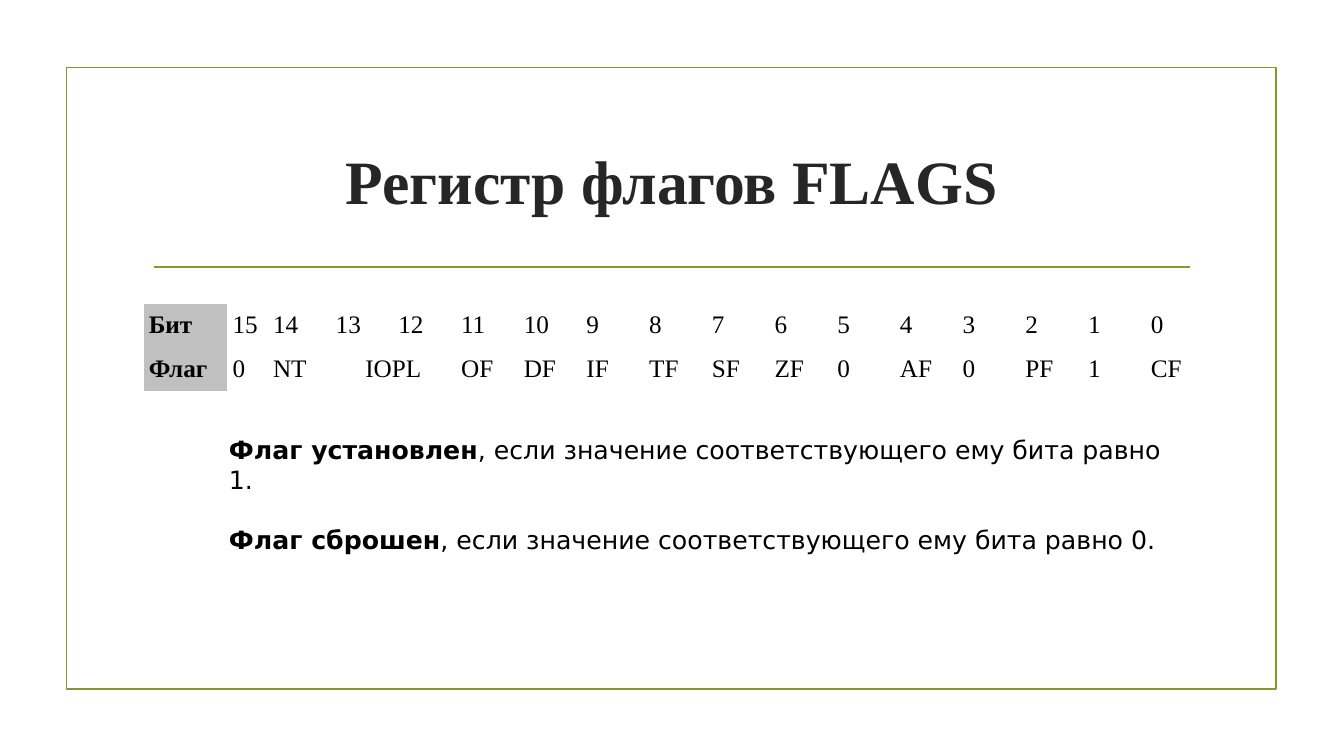
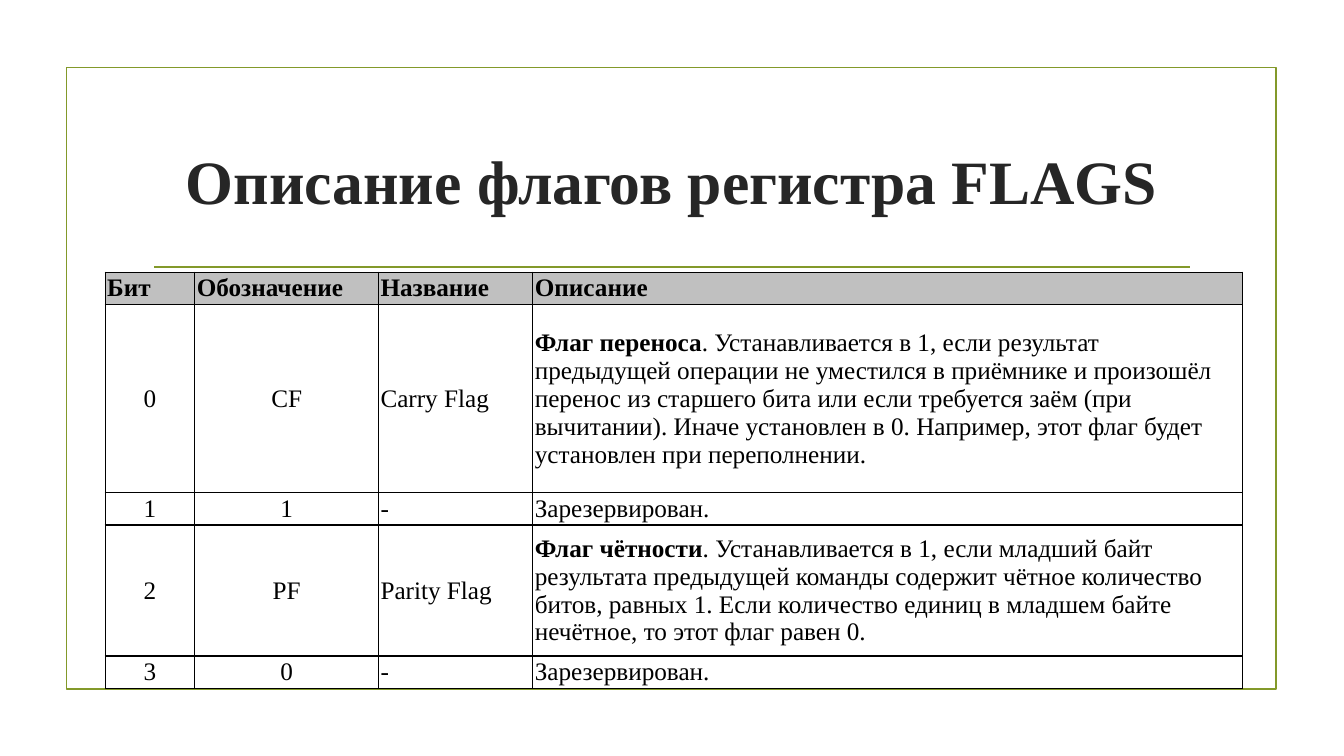
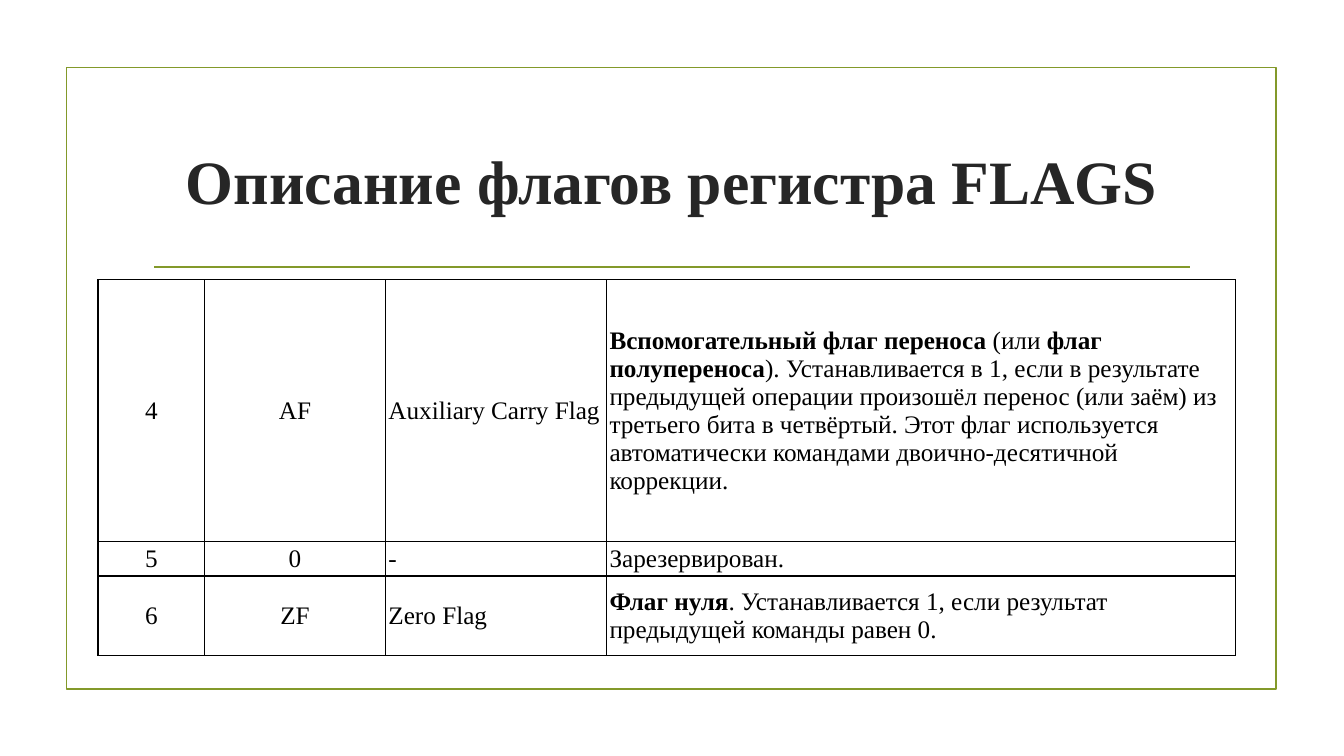
from lxml.etree import SubElement
from pptx import Presentation
from pptx.dml.color import RGBColor
from pptx.enum.shapes import MSO_CONNECTOR, MSO_SHAPE
from pptx.enum.text import MSO_ANCHOR, MSO_AUTO_SIZE, PP_ALIGN
from pptx.oxml.ns import qn
from pptx.util import Cm, Pt

OLIVE = RGBColor(0x83, 0x99, 0x2A)
INK = RGBColor(0x26, 0x26, 0x26)
BLACK = RGBColor(0, 0, 0)
WHITE = RGBColor(0xFF, 0xFF, 0xFF)
GREY = RGBColor(0xC0, 0xC0, 0xC0)

SERIF = "Times New Roman"
SANS = "DejaVu Sans"
PLAIN_TABLE_STYLE = "{2D5ABB26-0587-4C30-8999-92F81FD0307C}"


def write(p, text, font, size=18, color=BLACK, bold=False):
    """Fill a paragraph; parts between ** marks are bold."""
    for i, part in enumerate(text.split("**")):
        if part:
            r = p.add_run()
            r.text = part
            r.font.name, r.font.size = font, Pt(size)
            r.font.bold = bold or i % 2 == 1
            r.font.color.rgb = color


def add_borders(cell):
    tcPr = cell._tc.get_or_add_tcPr()
    for side in ("a:lnL", "a:lnR", "a:lnT", "a:lnB"):
        ln = SubElement(tcPr, qn(side), w=str(Pt(1)))
        fill = SubElement(ln, qn("a:solidFill"))
        SubElement(fill, qn("a:srgbClr"), val=str(BLACK))


class Deck:
    def __init__(self):
        self.prs = Presentation()
        self.prs.slide_width, self.prs.slide_height = Cm(33.87), Cm(19.05)
        self.slide = None

    def new_slide(self, title):
        self.slide = self.prs.slides.add_slide(self.prs.slide_layouts[5])
        self.frame()
        self.rule()
        self.title(title)

    def frame(self):
        sp = self.slide.shapes.add_shape(
            MSO_SHAPE.RECTANGLE, Cm(1.68), Cm(1.7), Cm(30.48), Cm(15.67))
        sp.shadow.inherit = False
        sp.fill.background()
        sp.line.color.rgb, sp.line.width = OLIVE, Pt(1.25)

    def rule(self):
        line = self.slide.shapes.add_connector(
            MSO_CONNECTOR.STRAIGHT, Cm(3.89), Cm(6.73), Cm(30), Cm(6.73))
        line.line.color.rgb, line.line.width = OLIVE, Pt(1.25)
        SubElement(line._element.spPr, qn("a:effectLst"))

    def title(self, text):
        sp = self.slide.shapes.title
        sp.left, sp.top, sp.width, sp.height = Cm(3.6), Cm(2.72), Cm(26.67), Cm(3.63)
        tf = sp.text_frame
        tf.auto_size, tf.vertical_anchor = MSO_AUTO_SIZE.NONE, MSO_ANCHOR.MIDDLE
        p = tf.paragraphs[0]
        p.alignment = PP_ALIGN.CENTER
        write(p, text, SERIF, 44, INK, bold=True)

    def text(self, left, top, width, height, paragraphs, gap):
        tf = self.slide.shapes.add_textbox(
            Cm(left), Cm(top), Cm(width), Cm(height)).text_frame
        tf.word_wrap = True
        for i, text in enumerate(paragraphs):
            p = tf.add_paragraph() if i else tf.paragraphs[0]
            p.space_before = Pt(gap if i else 0)
            write(p, text, SANS)

    def table(self, left, top, widths, heights, rows, inset,
              head_rows=0, head_cols=0, centred_cols=0, borders=True):
        """Draw a table; head cells are bold on grey, leading body columns centred."""
        table = self.slide.shapes.add_table(
            len(rows), len(widths), Cm(left), Cm(top),
            Cm(sum(widths)), Cm(sum(heights))).table
        table.first_row = table.horz_banding = False
        table._tbl.tblPr.find(qn("a:tableStyleId")).text = PLAIN_TABLE_STYLE
        for column, width in zip(table.columns, widths):
            column.width = Cm(width)
        for row, height in zip(table.rows, heights):
            row.height = Cm(height)
        for i, texts in enumerate(rows):
            for j, text in enumerate(texts):
                cell = table.cell(i, j)
                head = i < head_rows or j < head_cols
                if borders:
                    add_borders(cell)
                cell.fill.solid()
                cell.fill.fore_color.rgb = GREY if head else WHITE
                cell.margin_left = cell.margin_right = Cm(inset)
                cell.margin_top = cell.margin_bottom = Cm(inset)
                cell.vertical_anchor = MSO_ANCHOR.MIDDLE
                p = cell.text_frame.paragraphs[0]
                if j < centred_cols and not head:
                    p.alignment = PP_ALIGN.CENTER
                write(p, text, SERIF, bold=head)
        return table


def flags_register(deck):
    deck.new_slide("Регистр флагов FLAGS")
    bits = ["Бит"] + [str(bit) for bit in range(15, -1, -1)]
    flags = ["Флаг", "0", "NT", "IOPL", "", "OF", "DF", "IF", "TF", "SF", "ZF",
             "0", "AF", "0", "PF", "1", "CF"]
    table = deck.table(3.62, 7.65, [2.11, 1.02] + [1.58] * 15, [1.1, 1.1],
                       [bits, flags], 0.13, head_cols=1, borders=False)
    iopl = table.cell(1, 3)
    iopl.merge(table.cell(1, 4))
    iopl.text_frame.paragraphs[0].alignment = PP_ALIGN.CENTER
    deck.text(5.52, 10.82, 24.77, 2.57, [
        "**Флаг установлен**, если значение соответствующего ему бита равно 1.",
        "**Флаг сброшен**, если значение соответствующего ему бита равно 0.",
    ], gap=21)


def flags_0_to_3(deck):
    deck.new_slide("Описание флагов регистра FLAGS")
    deck.table(2.65, 6.86, [2.26, 4.63, 3.89, 17.88], [0.81, 4.75, 0.81, 3.3, 0.81], [
        ["Бит", "Обозначение", "Название", "Описание"],
        ["0", "CF", "Carry Flag",
         "**Флаг переноса**. Устанавливается в 1, если результат предыдущей операции "
         "не уместился в приёмнике и произошёл перенос из старшего бита или если "
         "требуется заём (при вычитании). Иначе установлен в 0. Например, этот флаг "
         "будет установлен при переполнении."],
        ["1", "1", "-", "Зарезервирован."],
        ["2", "PF", "Parity Flag",
         "**Флаг чётности**. Устанавливается в 1, если младший байт результата "
         "предыдущей команды содержит чётное количество битов, равных 1. Если "
         "количество единиц в младшем байте нечётное, то этот флаг равен 0."],
        ["3", "0", "-", "Зарезервирован."],
    ], 0.05, head_rows=1, centred_cols=2)


def flags_4_to_6(deck):
    deck.new_slide("Описание флагов регистра FLAGS")
    deck.table(2.47, 7.05, [2.69, 4.55, 5.57, 15.85], [6.6, 0.86, 2.01], [
        ["4", "AF", "Auxiliary Carry Flag",
         "**Вспомогательный флаг переноса** (или **флаг полупереноса**). "
         "Устанавливается в 1, если в результате предыдущей операции произошёл "
         "перенос (или заём) из третьего бита в четвёртый. Этот флаг используется "
         "автоматически командами двоично-десятичной коррекции."],
        ["5", "0", "-", "Зарезервирован."],
        ["6", "ZF", "Zero Flag",
         "**Флаг нуля**. Устанавливается 1, если результат предыдущей команды равен 0."],
    ], 0.08, centred_cols=2)


def main():
    deck = Deck()
    flags_register(deck)
    flags_0_to_3(deck)
    flags_4_to_6(deck)
    deck.prs.save("out.pptx")


if __name__ == "__main__":
    main()
